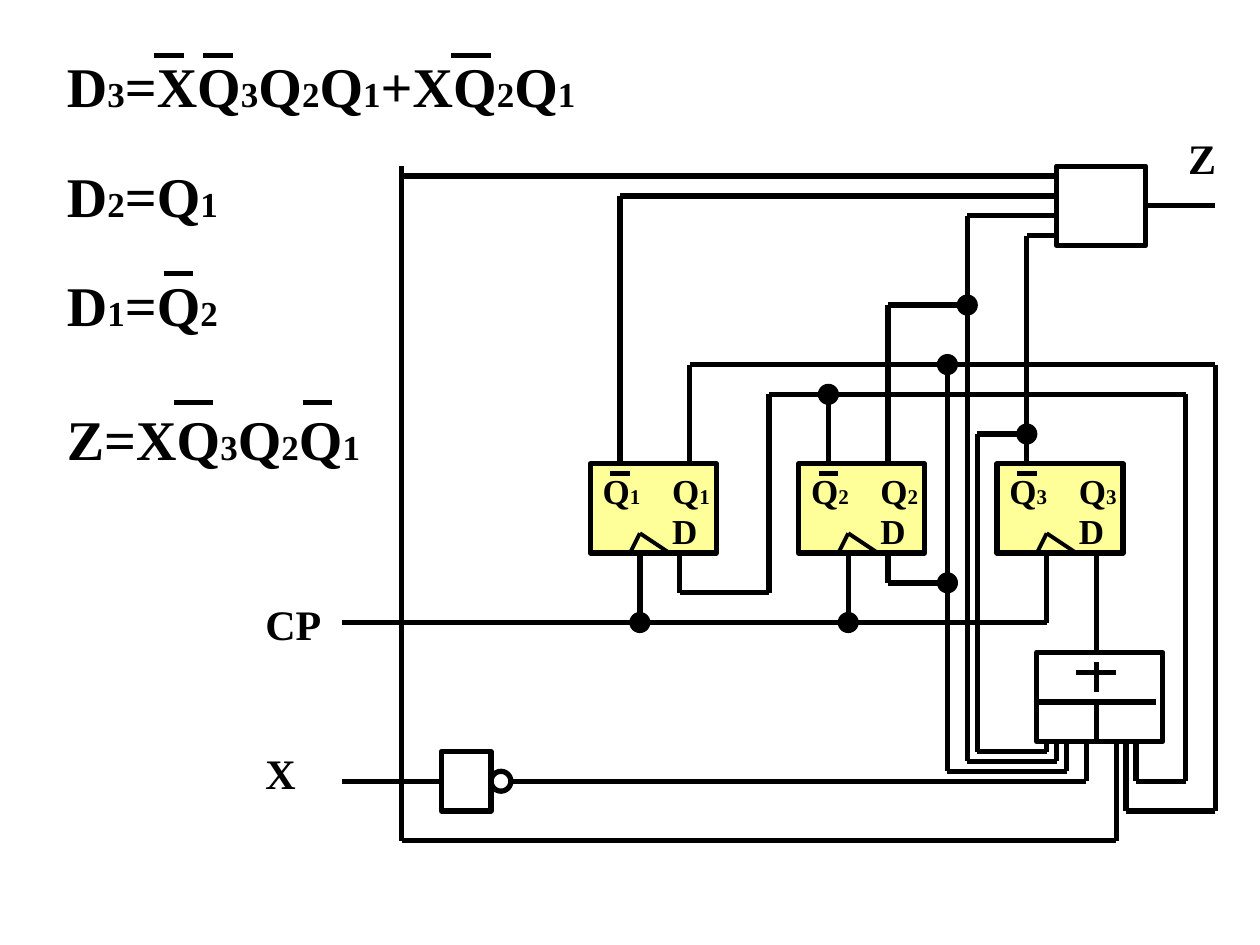
from itertools import groupby, pairwise

from lxml import etree
from pptx import Presentation
from pptx import util as u
from pptx.dml.color import RGBColor
from pptx.enum import shapes, text
from pptx.oxml import ns

BLACK = RGBColor(0x00, 0x00, 0x00)
YELLOW = RGBColor(0xFF, 0xFF, 0x99)
FONT = "Times New Roman"
PITCH = 0.2  # cm per grid step; every position below is counted in steps


def shift(origin, column, row):
    """Return the point, in cm, that lies some grid steps from an origin."""
    return origin[0] + column * PITCH, origin[1] + row * PITCH


def add_text(slide, origin, lines, *, width, height, size, small=12,
             gaps=(), wrap=False):
    """Write bold lines, with their digits set small as indices."""
    box = slide.shapes.add_textbox(*map(u.Cm, (*origin, width, height)))
    frame = box.text_frame
    frame.word_wrap = wrap
    frame.auto_size = text.MSO_AUTO_SIZE.SHAPE_TO_FIT_TEXT
    for index, line in enumerate(lines):
        paragraph = frame.add_paragraph() if index else frame.paragraphs[0]
        if index:
            paragraph.space_before = u.Pt(gaps[index - 1])
        for is_index, characters in groupby(line, str.isdigit):
            run = paragraph.add_run()
            run.text = "".join(characters)
            run.font.name = FONT
            run.font.bold = True
            run.font.size = u.Pt(small if is_index else size)
            run.font.color.rgb = BLACK


def add_wire(slide, origin, *points, weight=3):
    """Join grid points with straight lines."""
    for start, end in pairwise(points):
        ends = map(u.Cm, (*shift(origin, *start), *shift(origin, *end)))
        line = slide.shapes.add_connector(shapes.MSO_CONNECTOR.STRAIGHT, *ends)
        line.line.color.rgb = BLACK
        line.line.width = u.Pt(weight)
        etree.SubElement(line._element.spPr, ns.qn("a:effectLst"))


def add_block(slide, origin, columns, rows, *, fill=None, weight=3,
              kind=shapes.MSO_SHAPE.RECTANGLE):
    shape = slide.shapes.add_shape(
        kind, *map(u.Cm, (*origin, columns * PITCH, rows * PITCH)))
    shape.shadow.inherit = False
    if fill is None:
        shape.fill.background()
    else:
        shape.fill.solid()
        shape.fill.fore_color.rgb = fill
    shape.line.color.rgb = BLACK
    shape.line.width = u.Pt(weight)


def add_equations(slide, origin):
    lines = ("D3=XQ3Q2Q1+XQ2Q1", "D2=Q1", "D1=Q2", "Z=XQ3Q2Q1")
    add_text(slide, origin, lines, width=17.6, height=8.7, size=32, small=20,
             gaps=(24, 24, 38.5), wrap=True)
    # Overbars: first column, last column, row
    for first, last, row in ((10, 13, 1), (15, 18, 1), (40, 44, 1),
                             (11, 14, 23), (12, 16, 36), (25, 28, 36)):
        add_wire(slide, origin, (first, row), (last, row))


def add_flip_flop(slide, origin, number):
    add_block(slide, origin, 12.7, 9, fill=YELLOW)
    add_wire(slide, origin, (4, 9), (5, 7), (8, 9), weight=2.25)  # clock
    for label, column, row, width in (("D", 7, 4, 1), (f"Q{number}", 0, 0, 1.27),
                                      (f"Q{number}", 7, 0, 1.27)):
        add_text(slide, shift(origin, column, row), [label],
                 width=width, height=1.1, size=20)
    add_wire(slide, origin, (2, 1), (4, 1))  # overbar


def add_and_or_gate(slide, origin):
    add_block(slide, origin, 12.7, 9)
    add_wire(slide, origin, (0, 5), (12, 5))
    add_wire(slide, origin, (6, 5), (6, 9))
    # Plus sign
    add_wire(slide, origin, (4, 2), (8, 2))
    add_wire(slide, origin, (6, 1), (6, 4))


def add_inverter(slide, origin):
    add_block(slide, origin, 5, 6)
    add_block(slide, shift(origin, 5, 2), 2, 2, kind=shapes.MSO_SHAPE.OVAL)


def add_wiring(slide, origin):
    wires = (
        # Clock line and its taps
        ((0, 46), (71, 46), (71, 39)),
        ((30, 39), (30, 46)),
        ((51, 39), (51, 46)),
        # Input X, direct and inverted
        ((0, 62), (10, 62)),
        ((17, 62), (75, 62), (75, 58)),
        ((6, 0), (6, 68), (78, 68), (78, 58)),
        ((6, 1), (72, 1)),
        # First flip-flop outputs
        ((28, 30), (28, 3), (72, 3)),
        ((35, 30), (35, 20), (88, 20), (88, 65), (79, 65), (79, 58)),
        ((61, 20), (61, 61), (73, 61), (73, 58)),
        ((55, 39), (55, 42), (61, 42)),
        # Second flip-flop outputs
        ((34, 39), (34, 43), (43, 43), (43, 23), (85, 23), (85, 62),
         (80, 62), (80, 58)),
        ((49, 23), (49, 30)),
        ((55, 30), (55, 14), (63, 14)),
        ((72, 5), (63, 5), (63, 60), (72, 60), (72, 58)),
        # Third flip-flop
        ((69, 30), (69, 7), (72, 7)),
        ((69, 27), (64, 27), (64, 59), (71, 59), (71, 58)),
        ((76, 39), (76, 49)),
        # Output Z
        ((81, 4), (88, 4)),
    )
    for wire in wires:
        add_wire(slide, origin, *wire)
    # Junction dots
    for column, row in ((49, 23), (63, 14), (61, 20), (61, 42),
                        (30, 46), (69, 27), (51, 46)):
        add_block(slide, shift(origin, column - 1, row - 1), 2, 2, fill=BLACK,
                  weight=0.75, kind=shapes.MSO_SHAPE.OVAL)


def add_circuit(slide, origin):
    for number, column in enumerate((25, 46, 66), start=1):
        add_flip_flop(slide, shift(origin, column, 30), number)
    add_and_or_gate(slide, shift(origin, 70, 49))
    add_inverter(slide, shift(origin, 10, 59))
    add_block(slide, shift(origin, 72, 0), 9, 8)  # output gate
    add_wiring(slide, origin)
    for label, column, row, width in (("CP", -9, 43, 1.65), ("X", -9, 58, 1.12),
                                      ("Z", 84, -4, 1.07)):
        add_text(slide, shift(origin, column, row), [label],
                 width=width, height=1.27, size=24)


def main():
    presentation = Presentation()
    presentation.slide_width = u.Cm(25.4)
    presentation.slide_height = u.Cm(19.05)
    slide = presentation.slides.add_slide(presentation.slide_layouts[6])
    add_equations(slide, (1.1, 0.92))
    add_circuit(slide, (6.9, 3.35))
    presentation.save("out.pptx")


if __name__ == "__main__":
    main()
